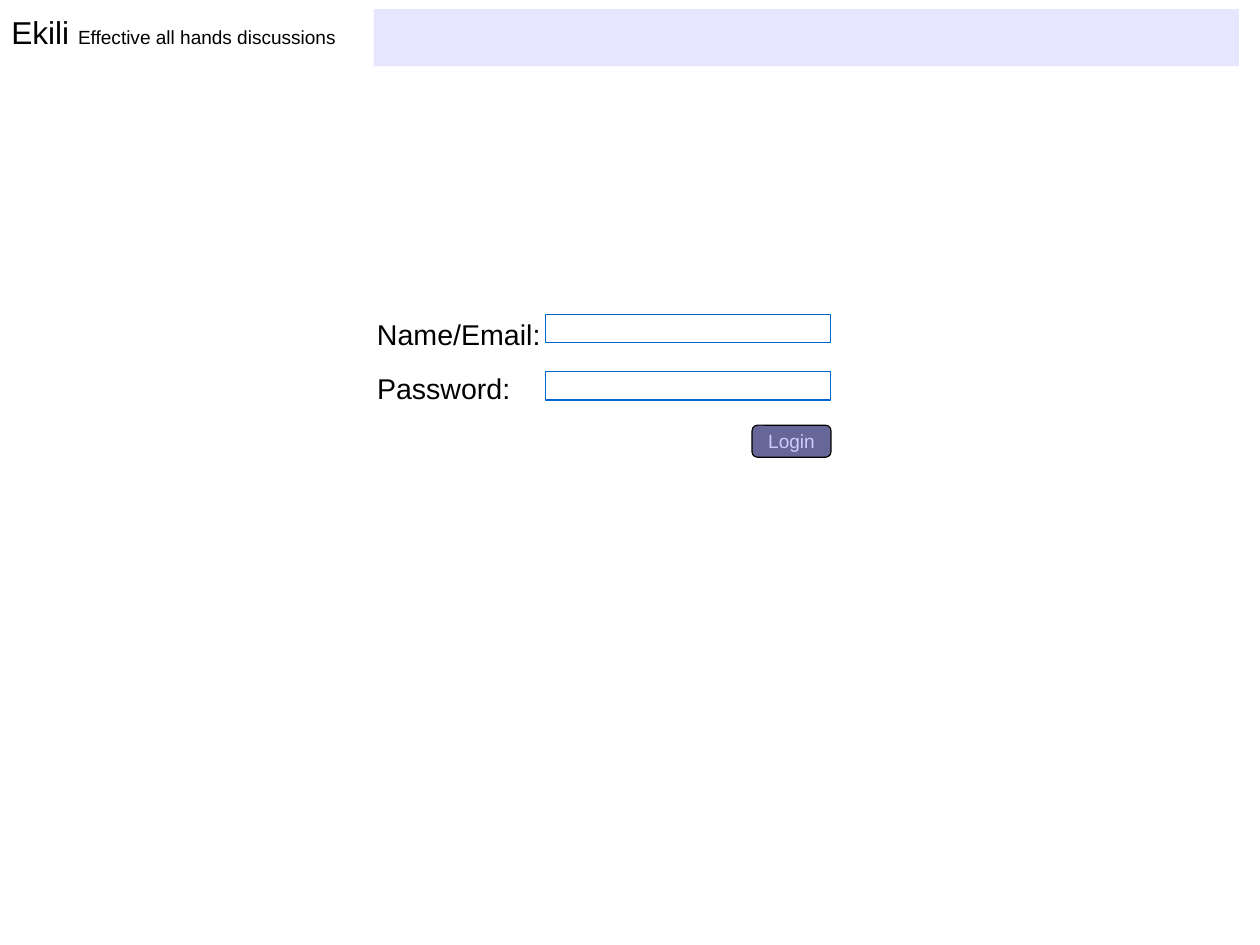
"""Build a login screen mock-up slide."""
from pptx import Presentation
from pptx.dml.color import RGBColor
from pptx.enum.shapes import MSO_SHAPE
from pptx.enum.text import MSO_ANCHOR, MSO_AUTO_SIZE, PP_ALIGN
from pptx.util import Inches, Pt

BLACK = RGBColor(0x00, 0x00, 0x00)
WHITE = RGBColor(0xFF, 0xFF, 0xFF)
LAVENDER = RGBColor(0xE6, 0xE6, 0xFF)
BLUE = RGBColor(0x00, 0x66, 0xCC)
PURPLE = RGBColor(0x66, 0x66, 0x99)
LILAC = RGBColor(0xCC, 0xCC, 0xFF)

prs = Presentation()
prs.slide_width, prs.slide_height = Inches(28 / 2.54), Inches(21 / 2.54)
s = prs.slides.add_slide(prs.slide_layouts[6])


def add_box(kind, box, fill, line=None):
    sp = s.shapes.add_shape(kind, *map(Inches, box))
    sp.shadow.inherit = False
    sp.fill.solid()
    sp.fill.fore_color.rgb = fill
    if line is None:
        sp.line.fill.background()
    else:
        sp.line.color.rgb = line
        sp.line.width = Pt(0)
    return sp


def add_run(p, text, size, color=BLACK):
    r = p.add_run()
    r.text = text
    for name, value in {"name": "Arial", "size": Pt(size)}.items():
        setattr(r.font, name, value)
    r.font.color.rgb = color


add_box(MSO_SHAPE.RECTANGLE, (3.27, 0.08, 7.57, 0.5), LAVENDER)

texts = [
    ((0, 0.06, 3.29, 0.66), True, [("Ekili ", 19.9), ("Effective all hands discussions", 12)]),
    ((3.2, 2.72, 1.63, 0.38), False, [("Name/Email:", 18)]),
    ((3.2, 3.2, 1.38, 0.38), False, [("Password:", 18)]),
]
for box, wrap, runs in texts:
    tf = s.shapes.add_textbox(*map(Inches, box)).text_frame
    tf.word_wrap = wrap
    tf.auto_size = MSO_AUTO_SIZE.SHAPE_TO_FIT_TEXT
    for text, size in runs:
        add_run(tf.paragraphs[0], text, size)

for top in (2.75, 3.25):
    add_box(MSO_SHAPE.RECTANGLE, (4.77, top, 2.5, 0.25), WHITE, BLUE)

button = add_box(MSO_SHAPE.ROUNDED_RECTANGLE, (6.58, 3.72, 0.69, 0.28), PURPLE, BLACK)
tf = button.text_frame
tf.vertical_anchor = MSO_ANCHOR.MIDDLE
p = tf.paragraphs[0]
p.alignment = PP_ALIGN.CENTER
add_run(p, "Login", 12, LILAC)

prs.save("out.pptx")
